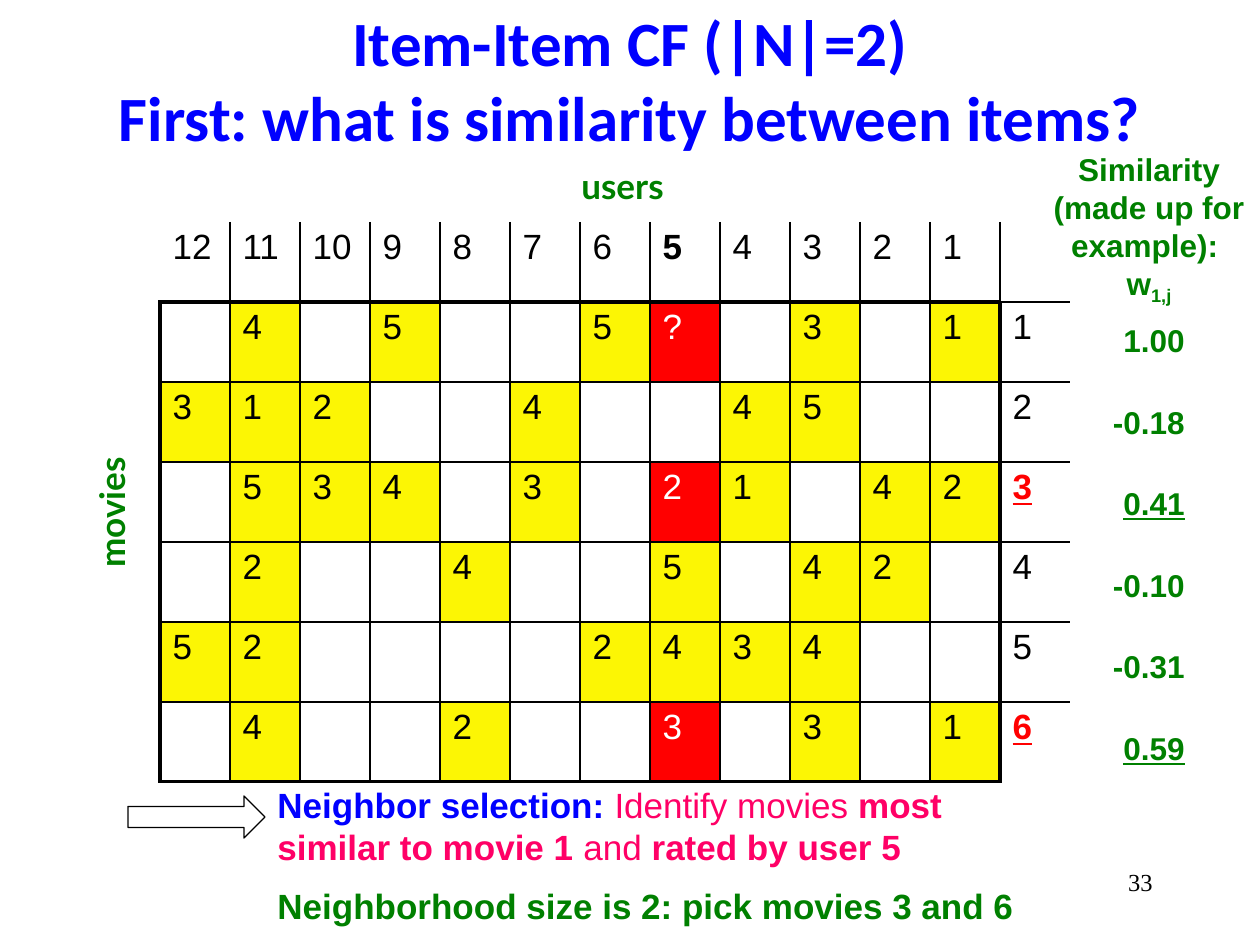
from lxml.etree import SubElement
from pptx import Presentation
from pptx.dml.color import RGBColor
from pptx.enum.shapes import MSO_SHAPE
from pptx.enum.text import MSO_ANCHOR, MSO_AUTO_SIZE, PP_ALIGN
from pptx.oxml.ns import qn
from pptx.util import Emu, Pt

PX_PER_INCH = 126
COLORS = {
    "title": "0000FF", "green": "008000", "pink": "FF0066", "red": "FF0000",
    "yellow": "FCF604", "black": "000000", "white": "FFFFFF",
}
USERS = range(12, 0, -1)
RATINGS = [
    " 4 5  5? 3 1",
    "312  4  45  ",
    " 534 3 21 42",
    " 2  4  5 42 ",
    "52    2434  ",
    " 4  2  3 3 1",
]
SIMILARITIES = ["1.00", "-0.18", "0.41", "-0.10", "-0.31", "0.59"]
TARGET_USER = 5
TARGET_MOVIE = 1
NEIGHBORS = (3, 6)
THIN, THICK = 1, 2.25


def px(length):
    """Turn a length in px into EMU."""
    return Emu(round(length * 914400 / PX_PER_INCH))


def rgb(name):
    """Look up a colour by name."""
    return RGBColor.from_string(COLORS[name])


def write(paragraph, text, size=20, font="Arial", color="black", bold=False,
          underline=False, baseline=None, align=None, before=None):
    """Append formatted text to a paragraph, breaking lines at newlines."""
    if align is not None:
        paragraph.alignment = align
    if before is not None:
        paragraph.space_before = Pt(before)
    for number, line in enumerate(text.split("\n")):
        if number:
            paragraph.add_line_break()
        run = paragraph.add_run()
        run.text = line
        run.font.size = Pt(size)
        run.font.name = font
        run.font.bold = bold
        run.font.underline = underline
        run.font.color.rgb = rgb(color)
        if baseline is not None:
            run.font._element.set("baseline", str(baseline * 1000))


def add_frame(slide, box, rotation=0):
    """Add a wrapping text box and return its text frame."""
    textbox = slide.shapes.add_textbox(*map(px, box))
    textbox.rotation = rotation
    textbox.text_frame.word_wrap = True
    return textbox.text_frame


def add_title(slide, box):
    """Place and fill the title placeholder."""
    title = slide.shapes.title
    title.left, title.top, title.width, title.height = map(px, box)
    frame = title.text_frame
    frame.auto_size = MSO_AUTO_SIZE.NONE
    frame.vertical_anchor = MSO_ANCHOR.MIDDLE
    write(frame.paragraphs[0], "Item-Item CF (|N|=2)\nFirst: what is similarity between items?",
          size=36, font="Calibri", color="title", bold=True, align=PP_ALIGN.CENTER)


def add_axis_label(slide, box, label, rotation=0):
    """Add the name of one axis of the rating matrix."""
    frame = add_frame(slide, box, rotation)
    write(frame.paragraphs[0], label, font="Lato", color="green", bold=True)


def vertical_edge(row, edge):
    """Return the width of the vertical line at an edge of a row."""
    last = len(USERS)
    if edge > last or (edge == 0 and row == 0):
        return 0
    return THICK if row and edge in (0, last) else THIN


def horizontal_edge(edge, column):
    """Return the width of the horizontal line at an edge of a column."""
    last = len(RATINGS) + 1
    if column == len(USERS):
        return THIN if 0 < edge < last else 0
    if edge == 0:
        return 0
    return THICK if edge in (1, last) else THIN


def set_borders(cell, row, column):
    """Draw the four borders of a cell."""
    widths = {
        "a:lnL": vertical_edge(row, column),
        "a:lnR": vertical_edge(row, column + 1),
        "a:lnT": horizontal_edge(row, column),
        "a:lnB": horizontal_edge(row + 1, column),
    }
    properties = cell._tc.get_or_add_tcPr()
    for side, width in widths.items():
        line = SubElement(properties, qn(side), w=str(Pt(width)))
        if width:
            fill = SubElement(line, qn("a:solidFill"))
            SubElement(fill, qn("a:srgbClr"), val=COLORS["black"])
        else:
            SubElement(line, qn("a:noFill"))


def fill_cell(cell, text, background=None, **style):
    """Set the background and text of a cell."""
    if background:
        cell.fill.solid()
        cell.fill.fore_color.rgb = rgb(background)
    else:
        cell.fill.background()
    if text:
        write(cell.text_frame.paragraphs[0], text, **style)


def add_ratings(slide, box):
    """Add the matrix of movies by users."""
    rows, columns = len(RATINGS) + 1, len(USERS) + 1
    table = slide.shapes.add_table(rows, columns, *map(px, box)).table
    table.first_row = table.horz_banding = False
    for column in table.columns:
        column.width = px(box[2] / columns)
    for row in table.rows:
        row.height = px(box[3] / rows)
    for row in range(rows):
        for column in range(columns):
            set_borders(table.cell(row, column), row, column)
    for column, user in enumerate(USERS):
        fill_cell(table.cell(0, column), str(user), bold=user == TARGET_USER)
    fill_cell(table.cell(0, columns - 1), "")
    for movie, ratings in enumerate(RATINGS, 1):
        for column, (user, rating) in enumerate(zip(USERS, ratings)):
            chosen = user == TARGET_USER and movie in (TARGET_MOVIE, *NEIGHBORS)
            background = "red" if chosen else "yellow"
            fill_cell(table.cell(movie, column), rating.strip(),
                      background if rating.strip() else None,
                      color="white" if chosen else "black")
        near = movie in NEIGHBORS
        fill_cell(table.cell(movie, columns - 1), str(movie), bold=near,
                  underline=near, color="red" if near else "black")


def add_similarity_heading(slide, box):
    """Add the heading above the similarities."""
    frame = add_frame(slide, box)
    style = dict(size=18, color="green", bold=True, align=PP_ALIGN.CENTER)
    write(frame.paragraphs[0], "Similarity (made up for example): ", **style)
    symbol = frame.add_paragraph()
    write(symbol, "w", **style)
    write(symbol, "1,j", baseline=-25, **style)


def add_similarities(slide, box):
    """Add one similarity beside each movie row."""
    frame = add_frame(slide, box)
    for movie, similarity in enumerate(SIMILARITIES, 1):
        paragraph = frame.paragraphs[0] if movie == 1 else frame.add_paragraph()
        write(paragraph, similarity, size=18, color="green", bold=True,
              underline=movie in NEIGHBORS, align=PP_ALIGN.RIGHT,
              before=0 if movie == 1 else 25)


def add_selection(slide, box, arrow_width=137, arrow_height=42):
    """Add the neighbor selection note with an arrow leading to it."""
    left, top, width, height = box
    arrow = slide.shapes.add_shape(MSO_SHAPE.RIGHT_ARROW, px(left), px(top + 19),
                                   px(arrow_width), px(arrow_height))
    arrow.shadow.inherit = False
    arrow.fill.background()
    arrow.line.color.rgb = rgb("black")
    arrow.line.width = Pt(0.75)
    frame = add_frame(slide, (left + arrow_width, top, width - arrow_width, height))
    selection = frame.paragraphs[0]
    write(selection, "Neighbor selection: ", color="title", bold=True)
    write(selection, "Identify movies ", color="pink")
    write(selection, "most similar to movie 1", color="pink", bold=True)
    write(selection, " and ", color="pink")
    write(selection, "rated by user 5", color="pink", bold=True)
    write(frame.add_paragraph(), "Neighborhood size is 2: pick movies 3 and 6",
          color="green", bold=True, before=10)


def add_page_number(slide, box):
    """Add the page number."""
    write(add_frame(slide, box).paragraphs[0], "33", size=14,
          font="Times New Roman", align=PP_ALIGN.RIGHT)


def main():
    """Build and save the slide."""
    deck = Presentation()
    deck.slide_width, deck.slide_height = px(1260), px(945)
    slide = deck.slides.add_slide(deck.slide_layouts[5])
    add_title(slide, (63, 0, 1134, 158))
    add_ratings(slide, (160, 222, 910, 560))
    add_axis_label(slide, (569, 158, 150, 55), "users")
    add_axis_label(slide, (20, 461, 183, 55), "movies", rotation=270)
    add_selection(slide, (128, 777, 902, 161))
    add_page_number(slide, (903, 861, 262, 63))
    add_similarities(slide, (1073, 315, 124, 454))
    add_similarity_heading(slide, (1018, 144, 262, 183))
    deck.save("out.pptx")


if __name__ == "__main__":
    main()
